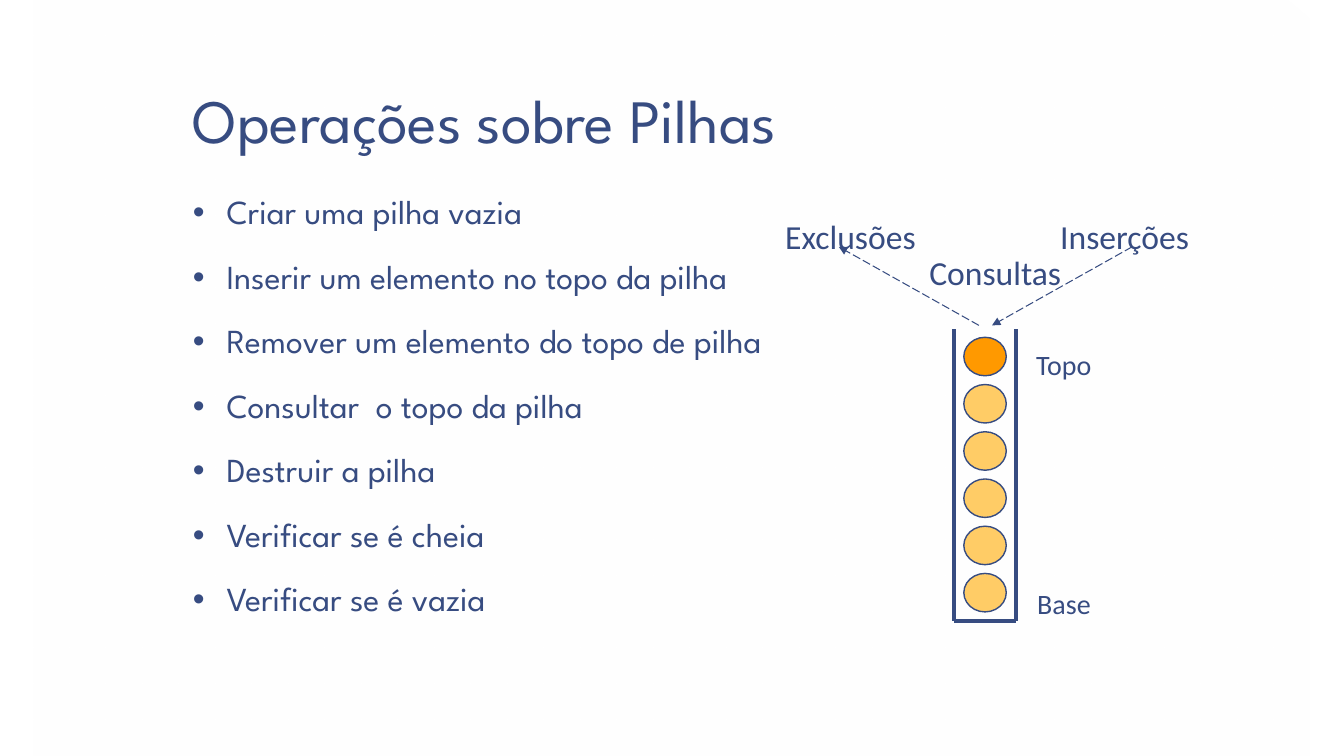
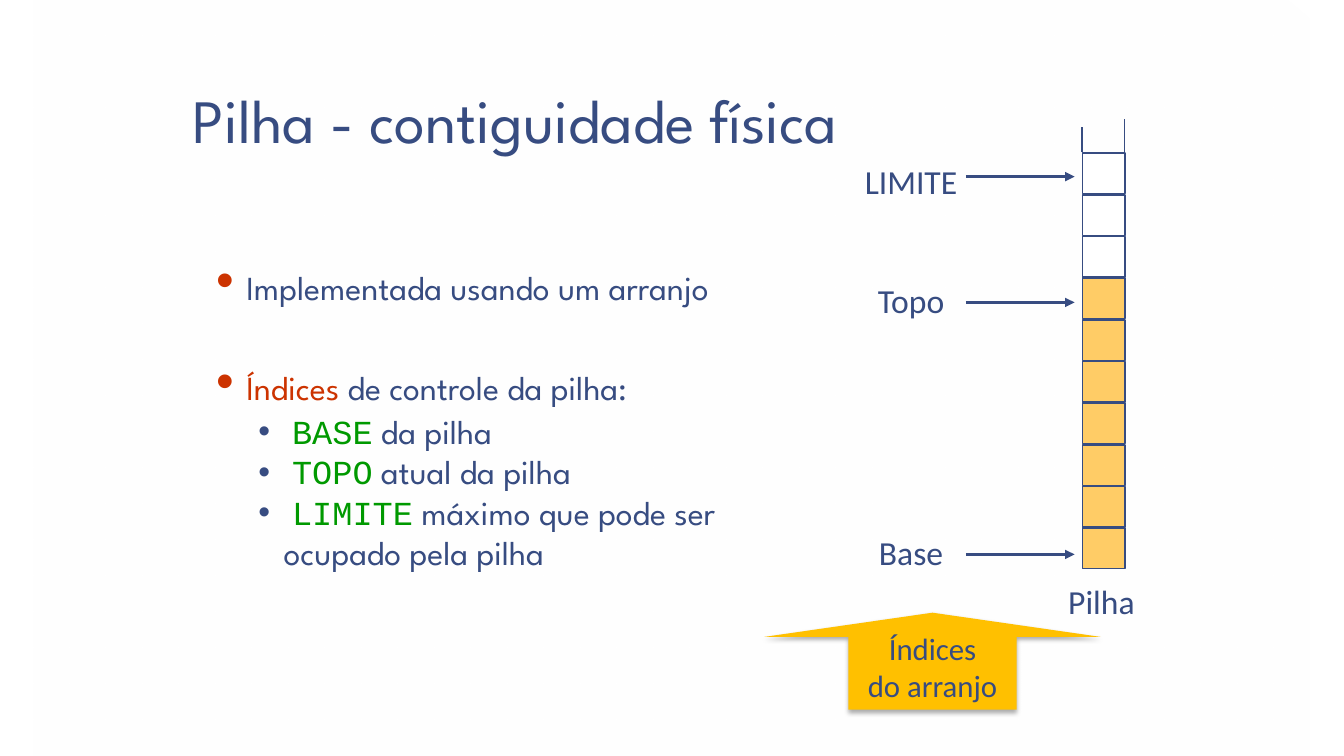
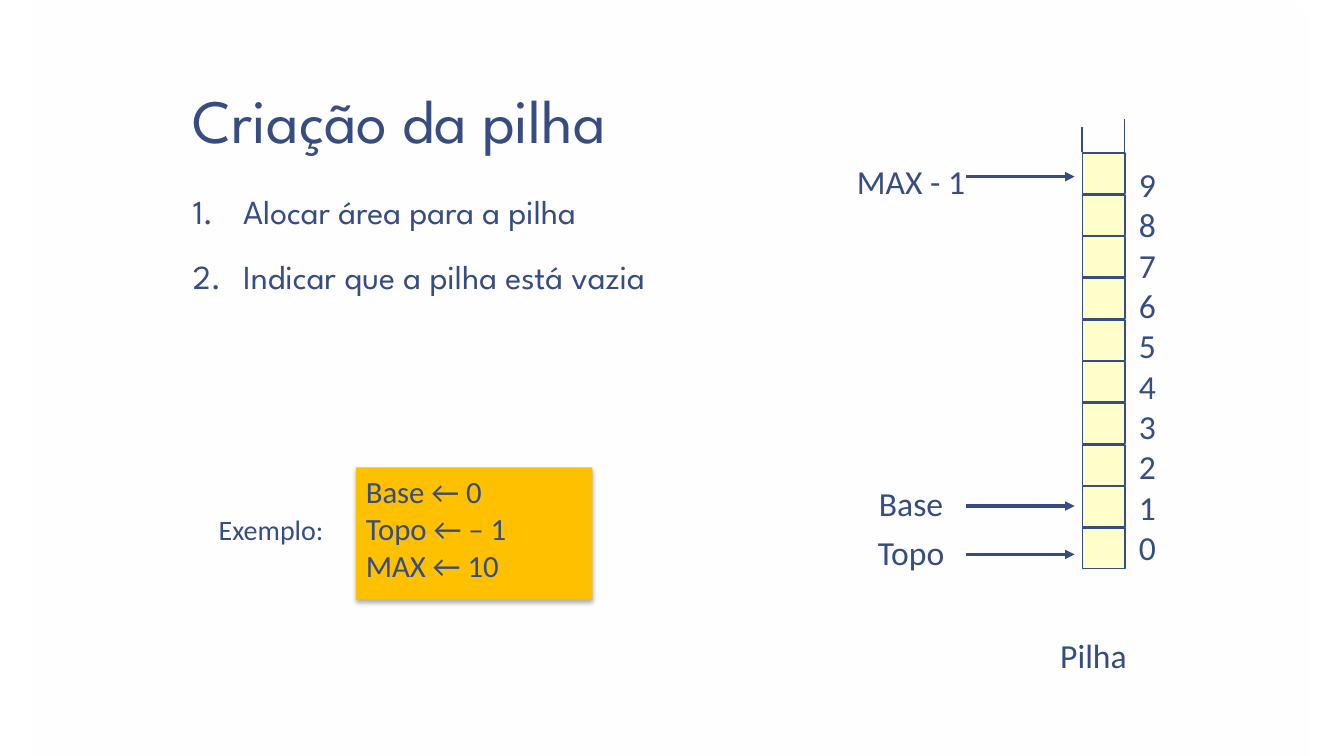
from dataclasses import dataclass

from lxml import etree
from pptx import Presentation
from pptx import util as u
from pptx.dml.color import RGBColor
from pptx.enum import dml, shapes, text
from pptx.oxml.ns import qn


@dataclass(frozen=True)
class Theme:
    ink: str = "374C81"
    amber: str = "FFC000"
    item: str = "FFCC66"
    top_item: str = "FF9900"
    free: str = "FFFFFF"
    pale: str = "FFFFCC"
    red: str = "CC3300"
    green: str = "009900"
    head_font: str = "League Spartan"
    label_font: str = "Calibri"
    code_font: str = "Courier New"
    bullet_font: str = "Arial"
    title: int = 44
    bullet: int = 36
    body: int = 24
    callout: int = 22
    small: int = 20


theme = Theme()
ink = RGBColor.from_string(theme.ink)


def add_text(frame, lines, size=theme.body, font=theme.label_font, align=text.PP_ALIGN.LEFT,
             anchor=text.MSO_ANCHOR.TOP, wrap=False, spacing=None, before=0, hang=0, mark=None):
    frame.word_wrap = wrap
    frame.vertical_anchor = anchor
    for index, line in enumerate(lines):
        para = frame.add_paragraph() if index else frame.paragraphs[0]
        para.text = line
        para.alignment = align
        if spacing:
            para.line_spacing = spacing
        if before and index:
            para.space_before = u.Pt(before)
        if mark:
            props = para._p.get_or_add_pPr()
            props.set("marL", str(u.Cm(hang)))
            props.set("indent", str(u.Cm(-hang)))
            tag, key, value = mark
            if tag == "a:buChar":
                etree.SubElement(props, qn("a:buFont")).set("typeface", theme.bullet_font)
            etree.SubElement(props, qn(tag)).set(key, value)
        para.font.size = u.Pt(size)
        para.font.name = font
        para.font.color.rgb = ink


def add_line(page, start, end, width, arrow=False, dash=None):
    line = page.shapes.add_connector(shapes.MSO_CONNECTOR.STRAIGHT, *map(u.Cm, start + end))
    line.line.color.rgb = ink
    line.line.width = u.Pt(width)
    if dash:
        line.line.dash_style = dash
    props = line._element.spPr
    if arrow:
        etree.SubElement(props.find(qn("a:ln")), qn("a:tailEnd")).set("type", "triangle")
    etree.SubElement(props, qn("a:effectLst"))


deck = Presentation()
deck.slide_width = u.Cm(33.87)
deck.slide_height = u.Cm(19.05)

pages = []
for title in ("Operações sobre Pilhas", "Pilha - contiguidade física", "Criação da pilha"):
    page = deck.slides.add_slide(deck.slide_layouts[6])
    backdrop = page.shapes.add_shape(shapes.MSO_SHAPE.RECTANGLE, u.Cm(0.84), u.Cm(0),
                                     u.Cm(32.16), u.Cm(19.05))
    backdrop.shadow.inherit = False
    backdrop.line.fill.background()
    backdrop.fill.gradient()
    backdrop.fill.gradient_angle = 230
    for stop, alpha in zip(backdrop.fill.gradient_stops, ("0", "55000")):
        stop.color.rgb = RGBColor.from_string(theme.free)
        etree.SubElement(stop._gs.find(qn("a:srgbClr")), qn("a:alpha")).set("val", alpha)
    frame = page.shapes.add_textbox(u.Cm(4.53), u.Cm(0.22), u.Cm(25), u.Cm(3.89)).text_frame
    frame.margin_left = frame.margin_right = u.Cm(0.33)
    frame.margin_top = frame.margin_bottom = u.Cm(0.18)
    add_text(frame, [title], theme.title, theme.head_font, anchor=text.MSO_ANCHOR.BOTTOM,
             wrap=True, spacing=0.85)
    pages.append(page)
operations, layout, creation = pages

operation_list = ["Criar uma pilha vazia", "Inserir um elemento no topo da pilha",
                  "Remover um elemento do topo de pilha", "Consultar  o topo da pilha",
                  "Destruir a pilha", "Verificar se é cheia", "Verificar se é vazia"]
creation_steps = ["Alocar área para a pilha", "Indicar que a pilha está vazia"]
for page, lines, hang, mark in (
        (operations, operation_list, 0.85, ("a:buChar", "char", "•")),
        (creation, creation_steps, 1.27, ("a:buAutoNum", "type", "arabicPeriod"))):
    frame = page.shapes.add_textbox(u.Cm(4.53), u.Cm(4.71), u.Cm(25), u.Cm(12.42)).text_frame
    frame.margin_left = frame.margin_right = u.Cm(0.33)
    frame.margin_top = frame.margin_bottom = u.Cm(0.18)
    add_text(frame, lines, font=theme.head_font, wrap=True, spacing=0.95, before=18.7,
             hang=hang, mark=mark)

for page, label, size, place in (
        (operations, "Consultas", theme.body, (23.17, 6.22, 3.86, 1.27)),
        (operations, "Exclusões", theme.body, (19.54, 5.31, 3.84, 1.27)),
        (operations, "Inserções", theme.body, (26.47, 5.31, 3.78, 1.27)),
        (operations, "Topo", theme.small, (25.86, 8.64, 1.93, 1.12)),
        (operations, "Base", theme.small, (25.89, 14.66, 1.88, 1.12)),
        (layout, "Pilha", theme.body, (26.67, 14.52, 2.21, 1.27)),
        (creation, "Pilha", theme.body, (26.47, 15.88, 2.21, 1.27)),
        (creation, "Exemplo:", theme.small, (5.26, 12.8, 3.18, 1.12))):
    add_text(page.shapes.add_textbox(*map(u.Cm, place)).text_frame, [label], size)

for index in range(6):
    ball = operations.shapes.add_shape(shapes.MSO_SHAPE.OVAL, u.Cm(24.29),
                                       u.Cm(8.5 + 1.19 * index), u.Cm(1.07), u.Cm(0.97))
    ball.shadow.inherit = False
    ball.fill.solid()
    ball.fill.fore_color.rgb = RGBColor.from_string(theme.item if index else theme.top_item)
    ball.line.color.rgb = ink
    ball.line.width = u.Pt(1)

left, right, rim, floor = 24.04, 25.6, 8.3, 15.65
for start, end in (((right, rim), (right, floor)), ((left, rim), (left, floor)),
                   ((right, floor), (left, floor))):
    add_line(operations, start, end, 3)
for start, end in (((28.53, 6.22), (25, 8.2)), ((24.67, 8.2), (21.14, 6.22))):
    add_line(operations, start, end, 0.75, arrow=True, dash=dml.MSO_LINE.LONG_DASH)

for page, colours, pointers in (
        (layout, [theme.free] * 3 + [theme.item] * 7,
         (("LIMITE", 4.01, 4.45), ("Topo", 6.99, 7.62), ("Base", 13.34, 13.97))),
        (creation, [theme.pale] * 10,
         (("MAX - 1", 4.01, 4.45), ("Base", 12.12, 12.75), ("Topo", 13.34, 13.97)))):
    for index, colour in enumerate(colours):
        cell = page.shapes.add_shape(shapes.MSO_SHAPE.RECTANGLE, u.Cm(27.28),
                                     u.Cm(3.86 + 1.05 * index), u.Cm(1.07), u.Cm(1.02))
        cell.shadow.inherit = False
        cell.fill.solid()
        cell.fill.fore_color.rgb = RGBColor.from_string(colour)
        cell.line.color.rgb = ink
        cell.line.width = u.Pt(1)
    add_line(page, (27.27, 3.84), (27.27, 3.2), 1)
    add_line(page, (28.34, 3.84), (28.34, 3), 1)
    for label, top, level in pointers:
        box = page.shapes.add_textbox(u.Cm(21.26), u.Cm(top), u.Cm(3.4), u.Cm(1.12))
        add_text(box.text_frame, [label], align=text.PP_ALIGN.CENTER,
                 anchor=text.MSO_ANCHOR.MIDDLE)
        add_line(page, (24.34, level), (27.08, level), 2.25, arrow=True)

numbers = creation.shapes.add_textbox(u.Cm(28.45), u.Cm(4.01), u.Cm(1), u.Cm(10.52))
add_text(numbers.text_frame, [str(number) for number in range(9, -1, -1)], wrap=True)

for page, kind, place, lines, align in (
        (layout, shapes.MSO_SHAPE.UP_ARROW, (19.26, 15.44, 8.48, 2.44),
         ["Índices", "do arranjo"], text.PP_ALIGN.CENTER),
        (creation, shapes.MSO_SHAPE.RECTANGLE, (8.97, 11.78, 5.96, 3.33),
         ["Base ← 0", "Topo ← – 1", "MAX ← 10"], text.PP_ALIGN.LEFT)):
    callout = page.shapes.add_shape(kind, *map(u.Cm, place))
    if kind == shapes.MSO_SHAPE.UP_ARROW:
        callout.adjustments[0] = 0.5
        callout.adjustments[1] = 0.25
    callout.fill.solid()
    callout.fill.fore_color.rgb = RGBColor.from_string(theme.amber)
    callout.line.fill.background()
    callout.shadow.inherit = False
    effects = callout._element.spPr.find(qn("a:effectLst"))
    shadow = etree.SubElement(effects, qn("a:outerShdw"), blurRad=str(u.Pt(3.5)),
                              dist=str(u.Pt(2.2)), dir="5400000", rotWithShape="0")
    black = etree.SubElement(shadow, qn("a:srgbClr"), val="000000")
    etree.SubElement(black, qn("a:alpha"), val="32000")
    add_text(callout.text_frame, lines, theme.callout, align=align, wrap=True)

lead = (" ", theme.bullet, theme.red, theme.head_font)
space = (" ", theme.body, theme.ink, theme.head_font)
paragraphs = [
    (0, 0, 0, [lead, ("Implementada usando um arranjo", theme.body, theme.ink, theme.head_font)]),
    (28.8, 0, 0, [lead, ("Índices", theme.body, theme.red, theme.head_font),
                  (" de controle da pilha:", theme.body, theme.ink, theme.head_font)])]
for code, meaning in (("BASE", " da pilha"), ("TOPO", " atual da pilha"),
                      ("LIMITE", " máximo que pode ser ocupado pela pilha")):
    paragraphs.append((0, 1.7, -0.64, [space, (code, theme.body, theme.green, theme.code_font),
                                       (meaning, theme.body, theme.ink, theme.head_font)]))

frame = layout.shapes.add_textbox(u.Cm(5.2), u.Cm(6.17), u.Cm(14.33), u.Cm(10.52)).text_frame
frame.word_wrap = True
for index, (before, margin, indent, spans) in enumerate(paragraphs):
    para = frame.add_paragraph() if index else frame.paragraphs[0]
    if before:
        para.space_before = u.Pt(before)
    props = para._p.get_or_add_pPr()
    props.set("marL", str(u.Cm(margin)))
    props.set("indent", str(u.Cm(indent)))
    etree.SubElement(props, qn("a:buFont")).set("typeface", theme.bullet_font)
    etree.SubElement(props, qn("a:buChar")).set("char", "•")
    for words, size, colour, font in spans:
        span = para.add_run()
        span.text = words
        span.font.size = u.Pt(size)
        span.font.name = font
        span.font.color.rgb = RGBColor.from_string(colour)

deck.save("out.pptx")
